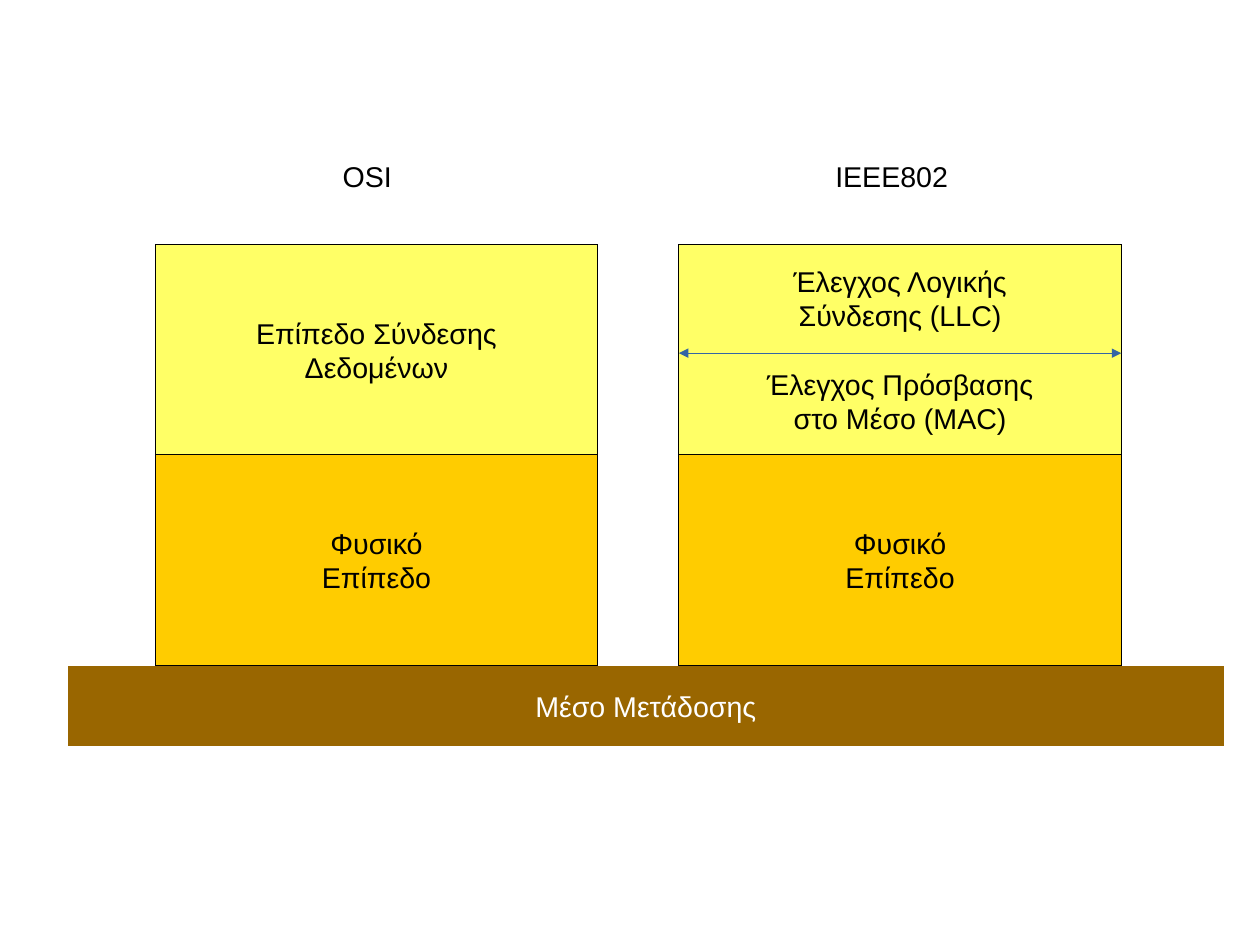
import pptx
import pptx.util
import pptx.dml.color
import pptx.enum.shapes
import pptx.enum.text
import pptx.oxml
import pptx.oxml.ns

Inches = pptx.util.Inches
Pt = pptx.util.Pt

COLORS = {
    "data link": "FFFF66",
    "physical": "FFCC00",
    "medium": "996600",
    "arrow": "3465A4",
    "black": "000000",
    "white": "FFFFFF",
}
PHYSICAL_LINES = ["Φυσικό", "Επίπεδο"]
# Heading, heading left, width and height, stack left, data link lines
STACKS = [
    ("OSI", 2.9, 0.88, 0.52, 1.36, ["Επίπεδο Σύνδεσης", "Δεδομένων"]),
    ("IEEE802", 7.21, 1.76, 0.61, 5.94,
     ["Έλεγχος Λογικής", "Σύνδεσης (LLC)",
      "Έλεγχος Πρόσβασης", "στο Μέσο (MAC)"]),
]
MEDIUM_LINES = ["Μέσο Μετάδοσης"]
MAC_START = 2
LINE_HEIGHT = 21.6
CM_PER_INCH = 2.54
HAIRLINE = Pt(0.01)
STACK_TOP, LAYER_WIDTH, LAYER_HEIGHT = 2.14, 3.87, 1.84
HEADING_TOP = 1.34
DIVIDER_TOP = 3.09

presentation = pptx.Presentation()
presentation.slide_width = Inches(28 / CM_PER_INCH)
presentation.slide_height = Inches(21 / CM_PER_INCH)
slide = presentation.slides.add_slide(presentation.slide_layouts[6])


def rgb(name):
    return pptx.dml.color.RGBColor.from_string(COLORS[name])


def write(frame, lines, color, alignment):
    frame.text = "\n".join(lines)
    for paragraph in frame.paragraphs:
        paragraph.alignment = alignment
        for run in paragraph.runs:
            run.font.name = "Arial"
            run.font.size = Pt(18)
            run.font.color.rgb = rgb(color)


def add_layer(left, top, width, height, lines, fill, ink="black", outline="black"):
    layer = slide.shapes.add_shape(
        pptx.enum.shapes.MSO_SHAPE.RECTANGLE,
        Inches(left), Inches(top), Inches(width), Inches(height))
    layer.shadow.inherit = False
    layer.fill.solid()
    layer.fill.fore_color.rgb = rgb(fill)
    layer.line.color.rgb = rgb(outline)
    layer.line.width = HAIRLINE
    frame = layer.text_frame
    frame.word_wrap = False
    frame.vertical_anchor = pptx.enum.text.MSO_ANCHOR.MIDDLE
    write(frame, lines, ink, pptx.enum.text.PP_ALIGN.CENTER)
    return layer


def add_heading(left, width, height, heading):
    box = slide.shapes.add_textbox(
        Inches(left), Inches(HEADING_TOP), Inches(width), Inches(height))
    box.text_frame.word_wrap = True
    write(box.text_frame, [heading], "black", pptx.enum.text.PP_ALIGN.LEFT)


def add_double_arrow(left, right, top):
    arrow = slide.shapes.add_connector(
        pptx.enum.shapes.MSO_CONNECTOR.STRAIGHT,
        Inches(left), Inches(top), Inches(right), Inches(top))
    arrow.line.color.rgb = rgb("arrow")
    arrow.line.width = HAIRLINE
    outline = arrow.line._get_or_add_ln()
    for end in ("a:headEnd", "a:tailEnd"):
        tip = pptx.oxml.ns.qn(end)
        outline.append(outline.makeelement(tip, {"type": "triangle"}))
    properties = arrow._element.spPr
    properties.append(properties.makeelement(pptx.oxml.ns.qn("a:effectLst"), {}))


physical_top = STACK_TOP + LAYER_HEIGHT
medium_top = physical_top + LAYER_HEIGHT
add_layer(0.59, medium_top, 10.12, 0.71, MEDIUM_LINES, "medium", "white", "white")
for heading, heading_left, heading_width, heading_height, left, lines in STACKS:
    add_heading(heading_left, heading_width, heading_height, heading)
    data_link = add_layer(left, STACK_TOP, LAYER_WIDTH, LAYER_HEIGHT,
                          lines, "data link")
    add_layer(left, physical_top, LAYER_WIDTH, LAYER_HEIGHT,
              PHYSICAL_LINES, "physical")
    if len(lines) > MAC_START:
        mac_paragraph = data_link.text_frame.paragraphs[MAC_START]
        mac_paragraph.space_before = Pt(LINE_HEIGHT)
        add_double_arrow(left, left + LAYER_WIDTH, DIVIDER_TOP)

presentation.save("out.pptx")
